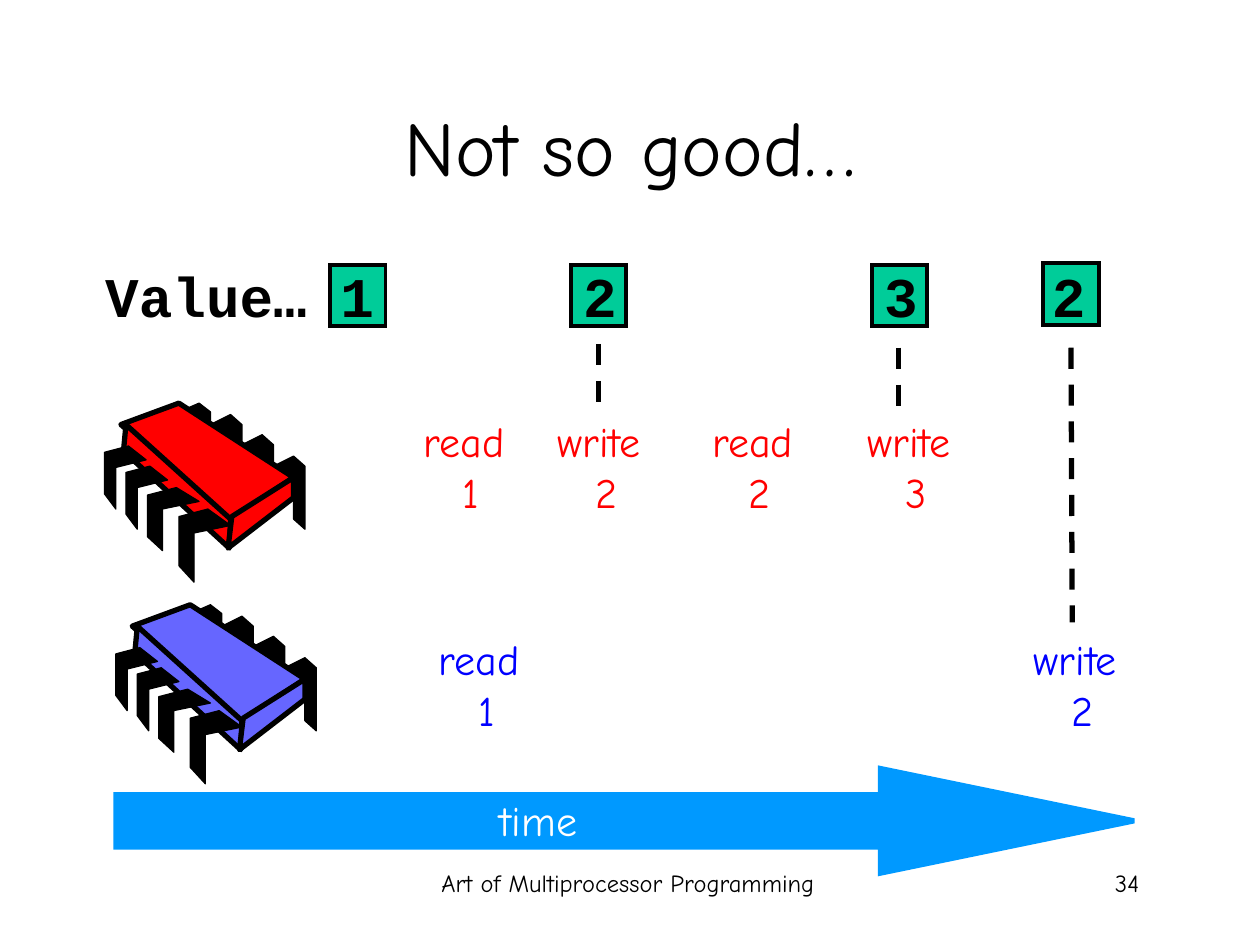
"""Build the slide that shows two processors losing a counter update."""
from lxml import etree
from pptx import Presentation
from pptx.dml.color import RGBColor
from pptx.enum.dml import MSO_LINE
from pptx.enum.shapes import MSO_CONNECTOR, MSO_SHAPE
from pptx.enum.text import MSO_ANCHOR, MSO_AUTO_SIZE, PP_ALIGN
from pptx.oxml.ns import qn
from pptx.util import Inches, Pt

DASH = MSO_LINE.DASH
STRAIGHT = MSO_CONNECTOR.STRAIGHT
RECTANGLE, RIGHT_ARROW = MSO_SHAPE.RECTANGLE, MSO_SHAPE.RIGHT_ARROW
MIDDLE = MSO_ANCHOR.MIDDLE
GROW, FIXED = MSO_AUTO_SIZE.SHAPE_TO_FIT_TEXT, MSO_AUTO_SIZE.NONE
CENTER, RIGHT = PP_ALIGN.CENTER, PP_ALIGN.RIGHT

BLACK = RGBColor(0x00, 0x00, 0x00)
WHITE = RGBColor(0xFF, 0xFF, 0xFF)
RED = RGBColor(0xFF, 0x00, 0x00)
BLUE = RGBColor(0x00, 0x00, 0xFF)
PERIWINKLE = RGBColor(0x66, 0x66, 0xFF)
GREEN = RGBColor(0x00, 0xCC, 0x99)
SKY = RGBColor(0x00, 0x99, 0xFF)

BODY_FONT, CODE_FONT = "Comic Neue", "Courier New"

REAR_PIN = [(0, 0.08), (0.16, 0), (0.25, 0.08), (0.25, 0.58),
            (0.16, 0.5), (0.16, 0.17), (0, 0.25)]
LAST_REAR_PIN = [(0, 0.07), (0.16, 0), (0.25, 0.07), (0.25, 0.5),
                 (0.16, 0.43), (0.16, 0.15), (0, 0.22)]
FRONT_PIN = [(0.19, 0), (0.33, 0.11), (0.09, 0.17), (0.09, 0.5),
             (0, 0.38), (0, 0.05)]
WIDE_FRONT_PIN = [(0.23, 0), (0.41, 0.11), (0.12, 0.17), (0.12, 0.5),
                  (0, 0.39), (0, 0.06)]
LONG_FRONT_PIN = [(0.23, 0), (0.41, 0.13), (0.12, 0.19), (0.12, 0.58),
                  (0, 0.45), (0, 0.06)]
REAR_PINS = [(REAR_PIN, 1.34, 0.42), (REAR_PIN, 1.09, 0.25),
             (REAR_PIN, 0.84, 0.09), (LAST_REAR_PIN, 0.59, 0)]
FRONT_PINS = [(LONG_FRONT_PIN, 0.59, 0.84), (WIDE_FRONT_PIN, 0.34, 0.67),
              (FRONT_PIN, 0.17, 0.5), (FRONT_PIN, 0, 0.34)]
CHIP_FACES = [
    [(0.59, 0), (1.5, 0.59), (0.99, 0.93), (0.13, 0.17)],
    [(0.17, 0.17), (1, 0.92), (0.99, 1.15), (0.15, 0.38)],
    [(1.5, 0.59), (1.5, 0.75), (0.98, 1.15), (1.01, 0.9)],
]


def format_shape(shape, fill, line, width):
    """Give a shape a solid fill and outline without a shadow."""
    shape.shadow.inherit = False
    shape.fill.solid()
    shape.fill.fore_color.rgb = fill
    shape.line.color.rgb = line
    shape.line.width = Pt(width)


def write_text(text_frame, text, size=24, color=BLACK, font=BODY_FONT,
               bold=False, align=CENTER):
    """Write each line of the text as one formatted paragraph."""
    text_frame.text = text
    for paragraph in text_frame.paragraphs:
        paragraph.alignment = align
        paragraph.font.size = Pt(size)
        paragraph.font.name = font
        paragraph.font.bold = bold
        paragraph.font.color.rgb = color


def add_label(slide, text, left, top, width, height, wrap=False, **text_format):
    """Add a text box that grows with its text unless it wraps."""
    box = slide.shapes.add_textbox(Inches(left), Inches(top),
                                   Inches(width), Inches(height))
    box.text_frame.word_wrap = wrap
    box.text_frame.auto_size = FIXED if wrap else GROW
    write_text(box.text_frame, text, **text_format)


def add_preset(slide, preset, left, top, width, height, fill, line, line_width):
    """Add a formatted preset shape with sharp outline corners."""
    shape = slide.shapes.add_shape(preset, Inches(left), Inches(top),
                                   Inches(width), Inches(height))
    format_shape(shape, fill, line, line_width)
    outline = shape._element.spPr.find(qn("a:ln"))
    etree.SubElement(outline, qn("a:miter"), lim="800000")
    return shape


def add_polygon(shapes, points, left, top, fill, line_width):
    """Add a closed outline whose points are relative to left and top."""
    corners = [(Inches(left + x), Inches(top + y)) for x, y in points]
    builder = shapes.build_freeform(*corners[0])
    builder.add_line_segments(corners[1:], close=True)
    format_shape(builder.convert_to_shape(), fill, BLACK, line_width)


def add_chip(slide, left, top, color):
    """Add a processor chip as a group of body faces and pins."""
    shapes = slide.shapes.add_group_shape().shapes
    for points, x, y in REAR_PINS:
        add_polygon(shapes, points, left + x, top + y, BLACK, 0.75)
    for face in CHIP_FACES:
        add_polygon(shapes, face, left, top, color, 3)
    for points, x, y in FRONT_PINS:
        add_polygon(shapes, points, left + x, top + y, BLACK, 0.75)


def add_dashed_line(slide, start_x, start_y, end_x, end_y):
    """Add a dashed black connector."""
    connector = slide.shapes.add_connector(
        STRAIGHT, Inches(start_x), Inches(start_y), Inches(end_x), Inches(end_y))
    connector.line.color.rgb = BLACK
    connector.line.width = Pt(3)
    connector.line.dash_style = DASH
    etree.SubElement(connector._element.spPr, qn("a:effectLst"))


def add_title(slide, text):
    """Place and write the slide title."""
    title = slide.shapes.title
    title.left, title.top = Inches(0.75), Inches(0.53)
    title.width, title.height = Inches(8.5), Inches(1.25)
    title.text_frame.vertical_anchor = MIDDLE
    write_text(title.text_frame, text, size=44)


def add_time_arrow(slide):
    """Add the labelled time axis."""
    arrow = add_preset(slide, RIGHT_ARROW, 0.92, 6.1, 8.08, 0.83, SKY, SKY, 3)
    arrow.adjustments[0] = 0.5
    arrow.adjustments[1] = 2.425
    add_label(slide, "time", 3.78, 6.26, 0.9, 0.5, color=WHITE, align=RIGHT)


def main():
    """Build and save the slide."""
    presentation = Presentation()
    presentation.slide_width, presentation.slide_height = Inches(10), Inches(7.5)
    slide = presentation.slides.add_slide(presentation.slide_layouts[5])
    add_title(slide, "Not so good…")
    add_label(slide, "Art of Multiprocessor Programming", 3.4, 6.84, 3.17, 0.5,
              wrap=True, size=14)
    add_label(slide, "34", 7.06, 6.84, 2.08, 0.5, wrap=True, size=14, align=RIGHT)
    add_time_arrow(slide)
    add_chip(slide, 0.83, 3.2, RED)
    add_chip(slide, 0.92, 4.8, PERIWINKLE)

    for left, top in [(2.62, 2.1), (4.53, 2.1), (6.92, 2.1), (8.28, 2.09)]:
        add_preset(slide, RECTANGLE, left, top, 0.44, 0.49, GREEN, BLACK, 2.25)
    for text, left, width in [("Value… 1", 0.67, 2.4), ("2", 4.53, 0.46),
                              ("3", 6.92, 0.46), ("2", 8.25, 0.46)]:
        add_label(slide, text, left, 2.03, width, 0.64, size=32, font=CODE_FONT,
                  bold=True, align=RIGHT)

    for text, left, top, width, color in [
            ("read \n1", 3.26, 3.25, 0.96, RED),
            ("write \n2", 4.32, 3.25, 0.98, RED),
            ("read \n2", 5.55, 3.25, 0.96, RED),
            ("write \n3", 6.78, 3.25, 0.98, RED),
            ("read \n1", 3.38, 4.98, 0.96, BLUE),
            ("write \n2", 8.1, 4.98, 0.98, BLUE)]:
        add_label(slide, text, left, top, width, 0.9, color=color)

    add_dashed_line(slide, 4.75, 2.73, 4.75, 3.31)
    add_dashed_line(slide, 7.13, 2.76, 7.13, 3.28)
    add_dashed_line(slide, 8.5, 2.76, 8.51, 4.94)
    presentation.save("out.pptx")


if __name__ == "__main__":
    main()
